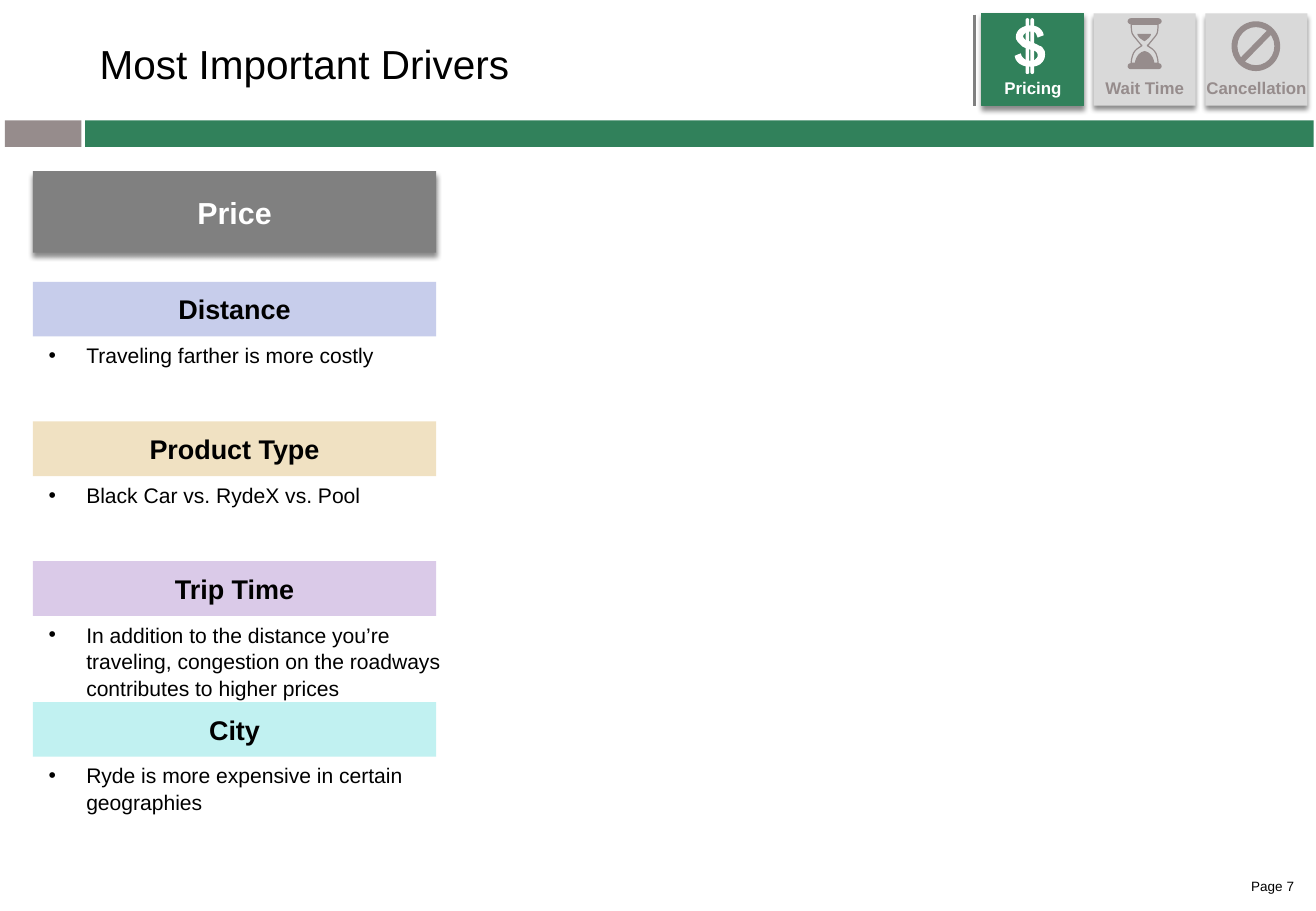
from lxml.etree import SubElement
from pptx import Presentation
from pptx.dml.color import RGBColor
from pptx.enum.shapes import MSO_CONNECTOR as Connector, MSO_SHAPE as Shape
from pptx.enum.text import MSO_ANCHOR as Anchor, MSO_AUTO_SIZE as AutoSize, PP_ALIGN as Align
from pptx.oxml.ns import qn
from pptx.util import Pt

PX = 9144
COLORS = {
    "green": "31815B", "taupe": "968C8C", "gray": "808080", "silver": "D9D9D9",
    "white": "FFFFFF", "black": "000000", "blue": "C7CDEB", "sand": "F0E1C2",
    "violet": "DACAE8", "aqua": "C1F1F1",
}
DRIVERS = [
    ("Distance", "blue", "Traveling farther is more costly"),
    ("Product Type", "sand", "Black Car vs. RydeX vs. Pool"),
    ("Trip Time", "violet", "In addition to the distance you’re traveling, "
     "congestion on the roadways contributes to higher prices"),
    ("City", "aqua", "Ryde is more expensive in certain geographies"),
]
DOLLAR = [
    (51, 18), (51, 18), (46, 20), (46, 20), (45, 18), (45, 17), (44, 16),
    (43, 15), (41, 15), (39, 15), (38, 15), (37, 15), (36, 16),
    (35, 17), (34, 18), (34, 19), (34, 20), (35, 21), (36, 22),
    (37, 22), (39, 23), (42, 24), (44, 25), (46, 26), (48, 27),
    (49, 27), (50, 28), (51, 30), (52, 31), (52, 32), (52, 34),
    (52, 37), (51, 39), (49, 41), (47, 43), (44, 44), (40, 44),
    (33, 44), (28, 41), (27, 35), (27, 35), (32, 33), (32, 33),
    (33, 37), (36, 39), (40, 39), (42, 39), (43, 39), (44, 38),
    (45, 37), (46, 36), (46, 35), (46, 34), (46, 33), (45, 32),
    (44, 31), (42, 30), (40, 30), (37, 29), (34, 28), (33, 27),
    (32, 26), (31, 25), (30, 24), (29, 23), (28, 21), (28, 20),
    (28, 17), (29, 15), (31, 13), (34, 11), (36, 10), (40, 10),
    (46, 10), (50, 13), (51, 18),
]
GLASS_SIDE = [
    (31, 9), (31, 11), (31, 15), (32, 17), (33, 19), (36, 22), (39, 26),
    (40, 26), (40, 27), (39, 27), (38, 28), (33, 30), (32, 35),
    (31, 38), (31, 40), (31, 41),
]
TOP_SAND = [(47, 17), (46, 17), (36, 17), (36, 17), (36, 20), (42, 23), (42, 23),
            (45, 21), (48, 18), (47, 17)]
SAND_MOUND = [(34, 41), (34, 39), (36, 32), (42, 31), (48, 32), (50, 39), (50, 41)]


def rgb(name):
    """Return the named colour."""
    return RGBColor.from_string(COLORS[name])


def place(item, box):
    """Move an item to a box given in px."""
    item.left, item.top, item.width, item.height = (v * PX for v in box)


def write(item, text, size, color="black", bold=False, align=Align.LEFT,
          anchor=Anchor.MIDDLE, insets=(10, 5, 10, 5), wrap=True):
    """Put one formatted paragraph in an item and return it."""
    frame = item.text_frame
    frame.text = text
    frame.word_wrap = wrap
    frame.auto_size = AutoSize.NONE
    frame.vertical_anchor = anchor
    (frame.margin_left, frame.margin_top,
     frame.margin_right, frame.margin_bottom) = (v * PX for v in insets)
    para = frame.paragraphs[0]
    para.alignment = align
    font = para.runs[0].font
    font.name, font.size, font.bold = "Arial", Pt(size), bold
    font.color.rgb = rgb(color)
    return para


def paint(shape, fill):
    """Give a shape a plain fill without line or shadow."""
    shape.shadow.inherit = False
    shape.fill.solid()
    shape.fill.fore_color.rgb = rgb(fill)
    shape.line.fill.background()
    return shape


def add_block(page, box, fill, kind=Shape.RECTANGLE):
    """Add a plain preset shape."""
    return paint(page.shapes.add_shape(kind, *(v * PX for v in box)), fill)


def add_shadow(shape):
    """Add a soft shadow below a shape."""
    effects = shape.element.spPr.find(qn("a:effectLst"))
    shadow = SubElement(effects, qn("a:outerShdw"), blurRad=str(Pt(3)),
                        dist=str(Pt(2.4)), dir="5400000", algn="t", rotWithShape="0")
    color = SubElement(shadow, qn("a:srgbClr"), val=COLORS["black"])
    SubElement(color, qn("a:alpha"), val="45000")


def add_pill(page, box, fill):
    """Add a bar with round ends."""
    add_block(page, box, fill, Shape.ROUNDED_RECTANGLE).adjustments[0] = 0.5


def add_curve(page, origin, points, fill, steps=6):
    """Add a closed outline through cubic curves, relative to an origin."""
    left, top = origin
    spots = [points[0]]
    for i in range(0, len(points) - 1, 3):
        for step in range(1, steps + 1):
            t = step / steps
            weights = ((1 - t) ** 3, 3 * t * (1 - t) ** 2, 3 * t * t * (1 - t), t ** 3)
            spots.append(tuple(sum(w * p[axis] for w, p in zip(weights, points[i:i + 4]))
                               for axis in (0, 1)))
    spots = [((left + x) * PX, (top + y) * PX) for x, y in spots]
    builder = page.shapes.build_freeform(*spots[0])
    builder.add_line_segments(spots[1:], close=True)
    return paint(builder.convert_to_shape(), fill)


def add_dollar(page, left, top):
    """Draw the dollar icon in a tile."""
    add_curve(page, (left, top), DOLLAR, "white")
    for x in (36, 40):
        add_pill(page, (left + x, top + 4, 3, 46), "white")


def add_hourglass(page, left, top):
    """Draw the hourglass icon in a tile."""
    mirrored = [(84 - x, y) for x, y in reversed(GLASS_SIDE)]
    outline = GLASS_SIDE + [GLASS_SIDE[-1], mirrored[0]] + mirrored
    glass = add_curve(page, (left, top), outline, "silver")
    glass.line.color.rgb = rgb("taupe")
    glass.line.width = PX
    for sand in (TOP_SAND, SAND_MOUND):
        add_curve(page, (left, top), sand, "taupe")
    for y in (4, 41):
        add_pill(page, (left + 28, top + y, 28, 5), "taupe")


def add_ban(page, left, top):
    """Draw the cancellation icon in a tile."""
    ban = add_block(page, (left + 21, top + 7, 41, 40), "taupe", Shape.NO_SYMBOL)
    ban.adjustments[0] = 0.12
    ban.rotation = 90


def add_tabs(page, box):
    """Draw the divider and the three topic tiles."""
    left, top, width, height = box
    divider = page.shapes.add_connector(
        Connector.STRAIGHT, *(v * PX for v in (left, top + 1, left, top + height)))
    divider.line.color.rgb = rgb("gray")
    divider.line.width = Pt(1.5)
    SubElement(divider.element.spPr, qn("a:effectLst"))
    tabs = [("Pricing", add_dollar), ("Wait Time", add_hourglass), ("Cancellation", add_ban)]
    for i, (label, add_icon) in enumerate(tabs):
        active = i == 0
        x = left + 6 + 92 * i
        tile = add_block(page, (x, top, 84, height), "green" if active else "silver")
        if active:
            tile.line.color.rgb = rgb("green")
            tile.line.width = Pt(0.79)
        add_shadow(tile)
        write(tile, label, 10, "white" if active else "taupe", True, Align.CENTER,
              Anchor.BOTTOM, (0, 5, 0, 6), wrap=False)
        add_icon(page, x, top)


def add_frame(page, box):
    """Draw the title, the colour band and the page number."""
    left, top, width, height = box
    add_block(page, (left + 4, top + 99, 63, 22), "taupe")
    add_block(page, (left + 70, top + 99, width - 72, 22), "green")
    place(page.shapes.title, (left + 72, top + 20, 721, 65))
    write(page.shapes.title, "Most Important Drivers", 24)
    number = page.shapes.add_textbox(0, 0, 0, 0)
    place(number, (left + width - 77, top + height - 40, 59, 31))
    write(number, "Page 7", 8, align=Align.RIGHT, anchor=Anchor.BOTTOM, insets=(5, 0, 0, 5))


def add_drivers(page, box):
    """Draw the price heading and its drivers with their bullets."""
    left, top, width, height = box
    heading = add_block(page, (left, top, width, 67), "gray")
    add_shadow(heading)
    write(heading, "Price", 18, "white", True, Align.CENTER)
    bodies = [item for item in page.placeholders if item.placeholder_format.idx > 0]
    pitch = height / len(DRIVERS)
    for i, (body, (name, fill, note)) in enumerate(zip(bodies, DRIVERS)):
        y = round(top + 91 + pitch * i)
        label = add_block(page, (left, y, width, 45), fill)
        write(label, name, 16, bold=True, align=Align.CENTER)
        place(body, (left + 3, y + 44, width, 39))
        para = write(body, note, 12.5, anchor=Anchor.TOP, insets=(10, 5, 0, 5))
        para.line_spacing = 1.05
        para.space_before = Pt(0)
        props = para._p.get_or_add_pPr()
        props.set("marL", str(31 * PX))
        props.set("indent", str(-31 * PX))
        SubElement(props, qn("a:buFont"), typeface="Arial")
        SubElement(props, qn("a:buChar"), char="•")


def main():
    """Build and save the deck."""
    deck = Presentation()
    deck.slide_width, deck.slide_height = 1083 * PX, 750 * PX
    page = deck.slides.add_slide(deck.slide_layouts.get_by_name("Comparison"))
    add_frame(page, (0, 0, 1083, 750))
    add_drivers(page, (27, 141, 332, 461))
    add_tabs(page, (802, 11, 274, 76))
    deck.save("out.pptx")


if __name__ == "__main__":
    main()
